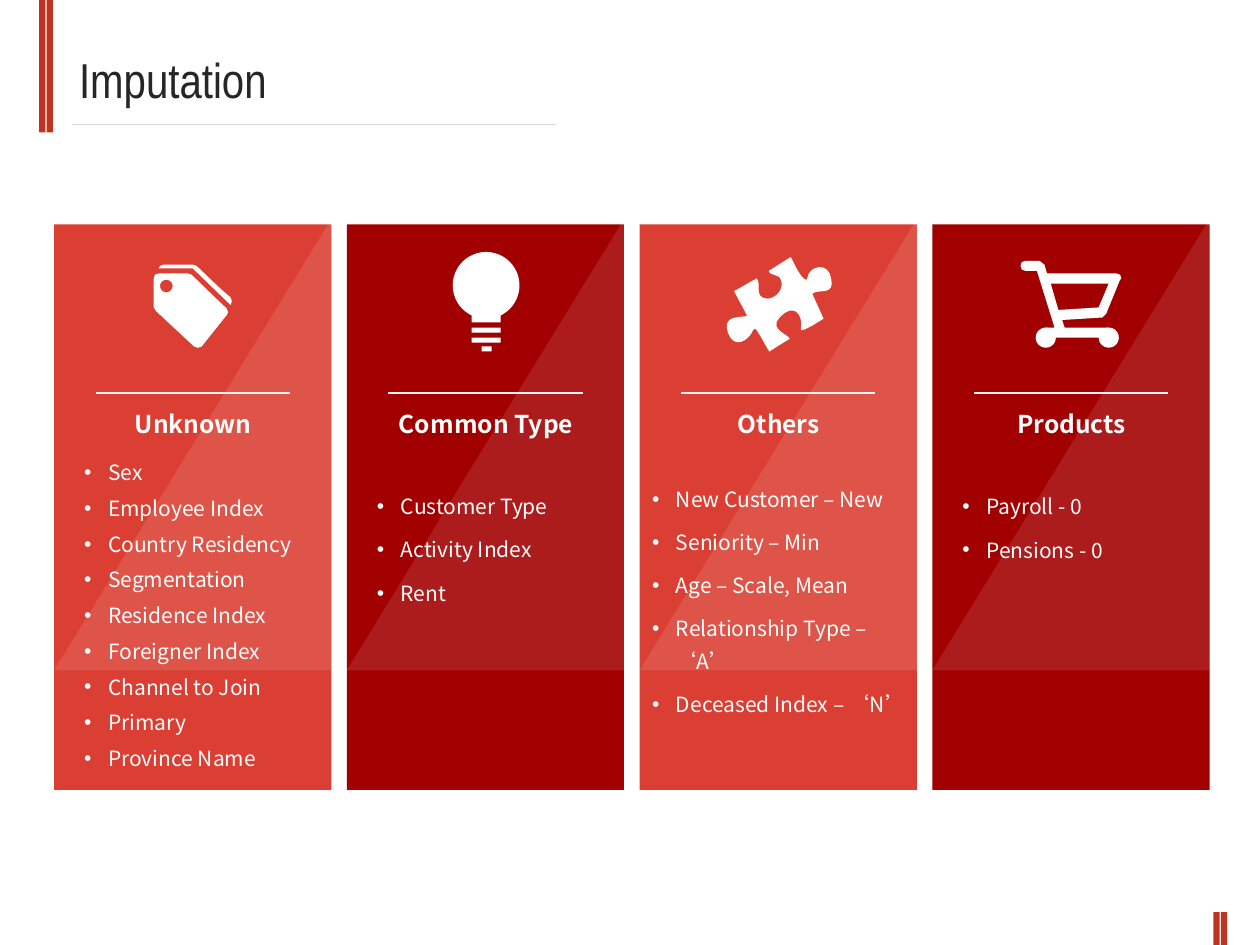
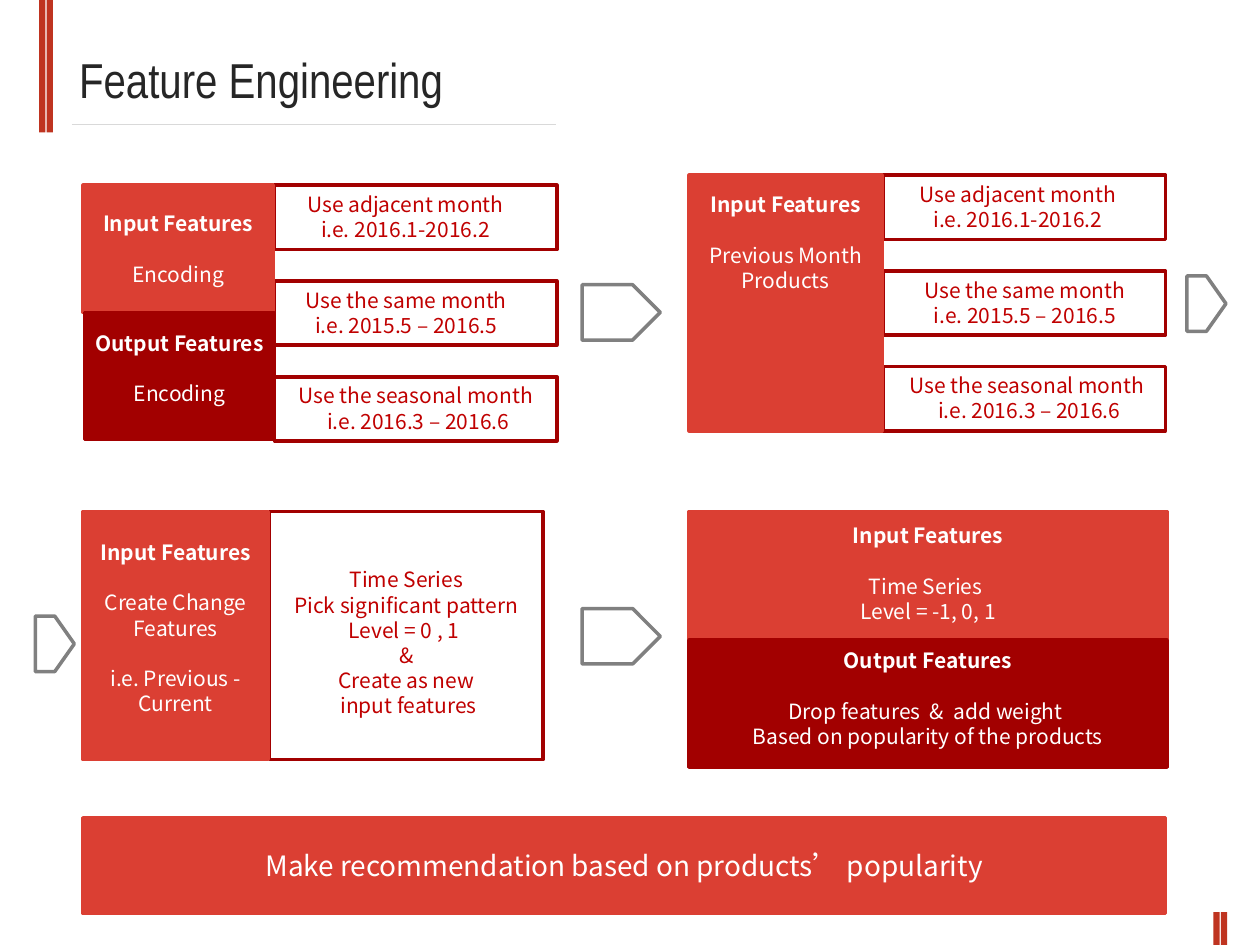
import pptx
import math
import pptx.dml.color
import pptx.enum.shapes
import pptx.enum.text
import pptx.oxml.ns
import pptx.util
from lxml import etree

Inches, Pt = pptx.util.Inches, pptx.util.Pt
SHAPE = pptx.enum.shapes.MSO_SHAPE
ALIGN = pptx.enum.text.PP_ALIGN
ANCHOR = pptx.enum.text.MSO_ANCHOR
qn = pptx.oxml.ns.qn

# Shared look
RED, DARK, BAND, TEXT_RED = "DB3F33", "A20000", "BF3420", "C00000"
WHITE, INK, GREY, RULE, PALE = "FFFFFF", "262626", "808080", "D9D9D9", "F2F2F2"
TITLE_FONT, BODY_FONT = "Arial Narrow", "Noto Sans CJK SC"
LINE_GAP = 14.5  # points, one line of body text


def rgb(value):
    return pptx.dml.color.RGBColor.from_string(value)


def style(sp, fill=None, line=None):
    sp.shadow.inherit = False
    if fill:
        sp.fill.solid()
        sp.fill.fore_color.rgb = rgb(fill)
    else:
        sp.fill.background()
    if line:
        sp.line.color.rgb = rgb(line)
        sp.line.width = Pt(2)
    else:
        sp.line.fill.background()
    return sp


def add_shape(slide, kind, box, fill=None, line=None):
    return style(slide.shapes.add_shape(kind, *map(Inches, box)), fill, line)


def add_rule(slide, x1, x2, y, color):
    line = slide.shapes.add_connector(
        pptx.enum.shapes.MSO_CONNECTOR.STRAIGHT, *map(Inches, (x1, y, x2, y)))
    line.line.color.rgb = rgb(color)
    line.line.width = Pt(0.75)
    etree.SubElement(line._element.spPr, qn("a:effectLst"))


def write(tf, texts, color, size=12, font=BODY_FONT, bold=False, **para_format):
    """Fill a text frame with one paragraph for each text."""
    for i, text in enumerate(texts):
        p = tf.paragraphs[0] if i == 0 else tf.add_paragraph()
        for name, value in para_format.items():
            setattr(p, name, value)
        r = p.add_run()
        r.text = text
        values = {"name": font, "size": Pt(size), "bold": bold}
        for name, value in values.items():
            setattr(r.font, name, value)
        r.font.color.rgb = rgb(color)
        etree.SubElement(r._r.get_or_add_rPr(), qn("a:ea")).set("typeface", font)
    return tf


def add_text(slide, box, texts, color, wrap=True, **formats):
    tf = slide.shapes.add_textbox(*map(Inches, box)).text_frame
    tf.word_wrap = wrap
    tf.auto_size = pptx.enum.text.MSO_AUTO_SIZE.SHAPE_TO_FIT_TEXT
    return write(tf, texts, color, **formats)


def add_base(prs, title):
    """Blank slide with the twin bands, the title and its rule."""
    slide = prs.slides.add_slide(prs.slide_layouts[6])
    for left, top, height in ((0.31, 0, 1.05), (9.63, 7.24, 0.26)):
        for dx in (0, 0.06):
            add_shape(slide, SHAPE.RECTANGLE, (left + dx, top, 0.05, height), BAND)
    add_rule(slide, 0.57, 4.41, 0.99, RULE)
    add_text(slide, (0.53, 0.34, 4.23, 0.57), [title], INK, size=28, font=TITLE_FONT)
    return slide


# Icons: outlines in hundredths of an inch from the icon's corner
TAG_BACK = [(61, 32), (31, 3), (4, 3), (5, 1), (8, 0), (31, 0), (34, 1),
            (54, 20), (61, 26), (62, 29)]
TAG_FRONT = [(27, 7), (30, 8), (58, 35), (59, 38), (58, 40), (38, 65), (35, 66),
             (32, 65), (2, 37), (0, 34), (0, 11), (1, 8), (4, 7)]
CART = [(79, 15), (68, 42), (65, 45), (33, 47), (35, 53), (70, 53), (70, 61),
        (20, 61), (20, 53), (27, 53), (13, 8), (4, 8), (1, 7), (0, 4), (1, 1),
        (4, 0), (15, 0), (19, 3), (21, 10), (76, 10), (79, 11), (80, 14)]
CART_HOLE = [(24, 18), (30, 39), (62, 37), (70, 18)]
PUZZLE_START = (54, 0)
PUZZLE_CURVES = [  # two control points and an end point
    (57, 6, 62, 17, 66, 18), (66, 18, 67, 18, 67, 17), (68, 7, 84, 3, 86, 17),
    (89, 31, 77, 25, 71, 29), (74, 36, 77, 42, 80, 49), (76, 51, 68, 57, 63, 58),
    (62, 58, 62, 57, 62, 57), (64, 45, 56, 36, 45, 48), (36, 58, 54, 62, 53, 65),
    (48, 68, 43, 71, 37, 75), (33, 69, 30, 62, 26, 57), (25, 57, 24, 58, 24, 58),
    (21, 66, 9, 74, 4, 60), (0, 47, 11, 48, 18, 47), (19, 47, 19, 47, 19, 46),
    (16, 40, 12, 33, 9, 27), (15, 24, 21, 20, 27, 17), (31, 21, 24, 33, 36, 33),
    (44, 32, 50, 23, 45, 16), (42, 14, 38, 14, 37, 12), (36, 10, 37, 11, 38, 10),
    (43, 7, 49, 3, 54, 0)]


def circle(cx, cy, radius, steps=24):
    angles = (2 * math.pi * i / steps for i in range(steps))
    return [(cx + radius * math.cos(a), cy + radius * math.sin(a)) for a in angles]


def flatten(start, curves, steps=8):
    """Points along a chain of cubic curves."""
    points = [start]
    for x1, y1, x2, y2, x3, y3 in curves:
        x0, y0 = points[-1]
        for t in (i / steps for i in range(1, steps + 1)):
            u = 1 - t
            a, b, c, d = u ** 3, 3 * u * u * t, 3 * u * t * t, t ** 3
            points.append((a * x0 + b * x1 + c * x2 + d * x3,
                           a * y0 + b * y1 + c * y2 + d * y3))
    return points


def add_outline(slide, left, top, *contours):
    scaled = [[(Inches(left + x / 100), Inches(top + y / 100)) for x, y in contour]
              for contour in contours]
    builder = slide.shapes.build_freeform(*scaled[0][0], scale=1.0)
    for i, points in enumerate(scaled):
        if i:
            builder.move_to(*points[0])
        builder.add_line_segments(points[1:], close=True)
    style(builder.convert_to_shape(), WHITE)


def draw_tag(slide, left, top):
    left, top = left + 0.79, top + 0.32
    add_outline(slide, left, top, TAG_BACK)
    add_outline(slide, left, top, TAG_FRONT, circle(10, 17, 5))


def draw_bulb(slide, left, top):
    left, top = left + 0.84, top + 0.22
    add_shape(slide, SHAPE.OVAL, (left, top, 0.53, 0.53), WHITE)
    for dx, dy, width, height in ((0.15, 0.46, 0.23, 0.1), (0.15, 0.6, 0.23, 0.04),
                                  (0.15, 0.68, 0.23, 0.04), (0.23, 0.75, 0.08, 0.04)):
        add_shape(slide, SHAPE.RECTANGLE, (left + dx, top + dy, width, height), WHITE)


def draw_puzzle(slide, left, top):
    add_outline(slide, left + 0.66, top + 0.26, flatten(PUZZLE_START, PUZZLE_CURVES))


def draw_cart(slide, left, top):
    left, top = left + 0.7, top + 0.29
    add_outline(slide, left, top, CART, CART_HOLE)
    for dx in (0.12, 0.62):
        add_shape(slide, SHAPE.OVAL, (left + dx, top + 0.53, 0.16, 0.16), WHITE)


def add_bullets(tf):
    for p in tf.paragraphs:
        pPr = p._p.get_or_add_pPr()
        pPr.set("marL", str(Inches(0.19)))
        pPr.set("indent", str(-Inches(0.19)))
        etree.SubElement(pPr, qn("a:buFont")).set("typeface", "Arial")
        etree.SubElement(pPr, qn("a:buChar")).set("char", "•")


def add_column(slide, left, top, fill, heading, items, draw_icon, items_box, spacing):
    add_shape(slide, SHAPE.RECTANGLE, (left, top, 2.2, 4.49), fill)
    # Translucent sheen
    sheen = add_shape(slide, SHAPE.RIGHT_TRIANGLE, (left, top - 0.04, 2.2, 3.58), WHITE)
    sheen._element.spPr.find(qn("a:xfrm")).set("flipH", "1")
    color = sheen._element.spPr.find(qn("a:solidFill"))[0]
    etree.SubElement(color, qn("a:alpha")).set("val", "11000")
    # Heading and list
    add_text(slide, (left + 0.14, top + 1.42, 1.93, 0.34), [heading], WHITE,
             size=14, bold=True, alignment=ALIGN.CENTER)
    dx, dy, width, height = items_box
    add_bullets(add_text(slide, (left + dx, top + dy, width, height), items, WHITE,
                         space_before=Pt(6), line_spacing=spacing))
    add_rule(slide, left + 0.33, left + 1.87, top + 1.34, PALE)
    draw_icon(slide, left, top)


def imputation_slide(prs):
    slide = add_base(prs, "Imputation")
    columns = [
        ("Unknown", ["Sex", "Employee Index", "Country Residency", "Segmentation",
                     "Residence Index", "Foreigner Index", "Channel to Join",
                     "Primary", "Province Name"],
         draw_tag, (0.14, 1.82, 1.93, 2.59), 1.0),
        ("Common Type", ["Customer Type", "Activity Index", "Rent"],
         draw_bulb, (0.14, 2.03, 1.93, 1.06), 1.3),
        ("Others", ["New Customer – New", "Seniority – Min", "Age – Scale, Mean",
                    "Relationship Type – ‘A’", "Deceased Index – ‘N’"],
         draw_puzzle, (0, 1.97, 2.24, 2.1), 1.3),
        ("Products", ["Payroll - 0", "Pensions - 0"],
         draw_cart, (0.14, 2.03, 1.93, 0.71), 1.3),
    ]
    pitch = (7.4 - 0.43) / 3
    for i, column in enumerate(columns):
        add_column(slide, 0.43 + i * pitch, 1.78, (RED, DARK)[i % 2], *column)


def add_panel(slide, box, fill, text_top, groups, heading=None):
    """Block with an optional bold heading; groups are set one line apart."""
    sp = add_shape(slide, SHAPE.RECTANGLE, box, fill, fill or DARK)
    tf = sp.text_frame
    margins = {"margin_left": 0, "margin_right": 0, "margin_top": Inches(text_top),
               "vertical_anchor": ANCHOR.TOP, "word_wrap": True}
    for name, value in margins.items():
        setattr(tf, name, value)
    texts = [heading] if heading else []
    starts = []
    for group in groups:
        starts.append(len(texts))
        texts += group
    write(tf, texts, WHITE if fill else TEXT_RED, alignment=ALIGN.CENTER)
    for start in starts:
        if start:
            tf.paragraphs[start].space_before = Pt(LINE_GAP)
    if heading:
        tf.paragraphs[0].runs[0].font.bold = True


def add_month_options(slide, left, top, text_shifts):
    options = [("Use adjacent month", "i.e. 2016.1-2016.2", 1.87),
               ("Use the same month", "i.e. 2015.5 – 2016.5", 1.87),
               ("Use the seasonal month ", "i.e. 2016.3 – 2016.6", 2.18)]
    for i, (rule, example, width) in enumerate(options):
        y = top + i * 0.76
        add_shape(slide, SHAPE.RECTANGLE, (left, y, 2.24, 0.51), line=DARK)
        tf = add_text(slide, (left + text_shifts[i], y, width, 0.5), [rule, example],
                      TEXT_RED, wrap=False, alignment=ALIGN.CENTER)
        if i == 0:
            tf.paragraphs[0].alignment = ALIGN.LEFT


def feature_slide(prs):
    slide = add_base(prs, "Feature Engineering")
    # Encoding
    add_month_options(slide, 2.18, 1.47, (0.16, 0.11, 0.05))
    add_panel(slide, (0.66, 1.47, 1.51, 1.01), RED, 0.2, [["Encoding"]], "Input Features")
    add_panel(slide, (0.67, 2.48, 1.51, 1.01), DARK, 0.14, [["Encoding"]],
              "Output Features")
    # Previous month
    add_month_options(slide, 7.01, 1.39, (0.19, 0.19, 0.07))
    add_panel(slide, (5.47, 1.39, 1.53, 2.03), RED, 0.13, [["Previous Month Products"]],
              "Input Features")
    # Change features
    add_panel(slide, (2.14, 4.06, 2.17, 1.97), None, 0.44,
              [["Time Series", "Pick significant pattern", "Level = 0 , 1 ", "&",
                "Create as new", " input features"]])
    add_panel(slide, (0.66, 4.06, 1.47, 1.97), RED, 0.22,
              [["Create Change Features"], ["i.e. Previous - Current"]], "Input Features")
    # Time series
    add_panel(slide, (5.47, 4.06, 3.79, 1.01), RED, 0.09,
              [["Time Series ", "Level = -1, 0, 1"]], "Input Features")
    add_panel(slide, (5.47, 5.08, 3.79, 1.01), DARK, 0.06,
              [["Drop features  &  add weight ", "Based on popularity of the products"]],
              "Output Features")
    # Flow markers
    for left, top, width in ((4.62, 2.26, 0.62), (4.62, 4.83, 0.62),
                             (9.42, 2.19, 0.31), (0.28, 4.89, 0.31)):
        add_shape(slide, SHAPE.PENTAGON, (left, top, width, 0.44), line=GREY)
    # Conclusion
    banner = add_shape(slide, SHAPE.RECTANGLE, (0.66, 6.49, 8.59, 0.76), RED, RED)
    banner.text_frame.vertical_anchor = ANCHOR.MIDDLE
    write(banner.text_frame, ["Make recommendation based on products’ popularity"],
          WHITE, size=16, alignment=ALIGN.CENTER)


def main():
    prs = pptx.Presentation()
    prs.slide_width, prs.slide_height = Inches(10), Inches(7.5)
    imputation_slide(prs)
    feature_slide(prs)
    prs.save("out.pptx")


if __name__ == "__main__":
    main()
